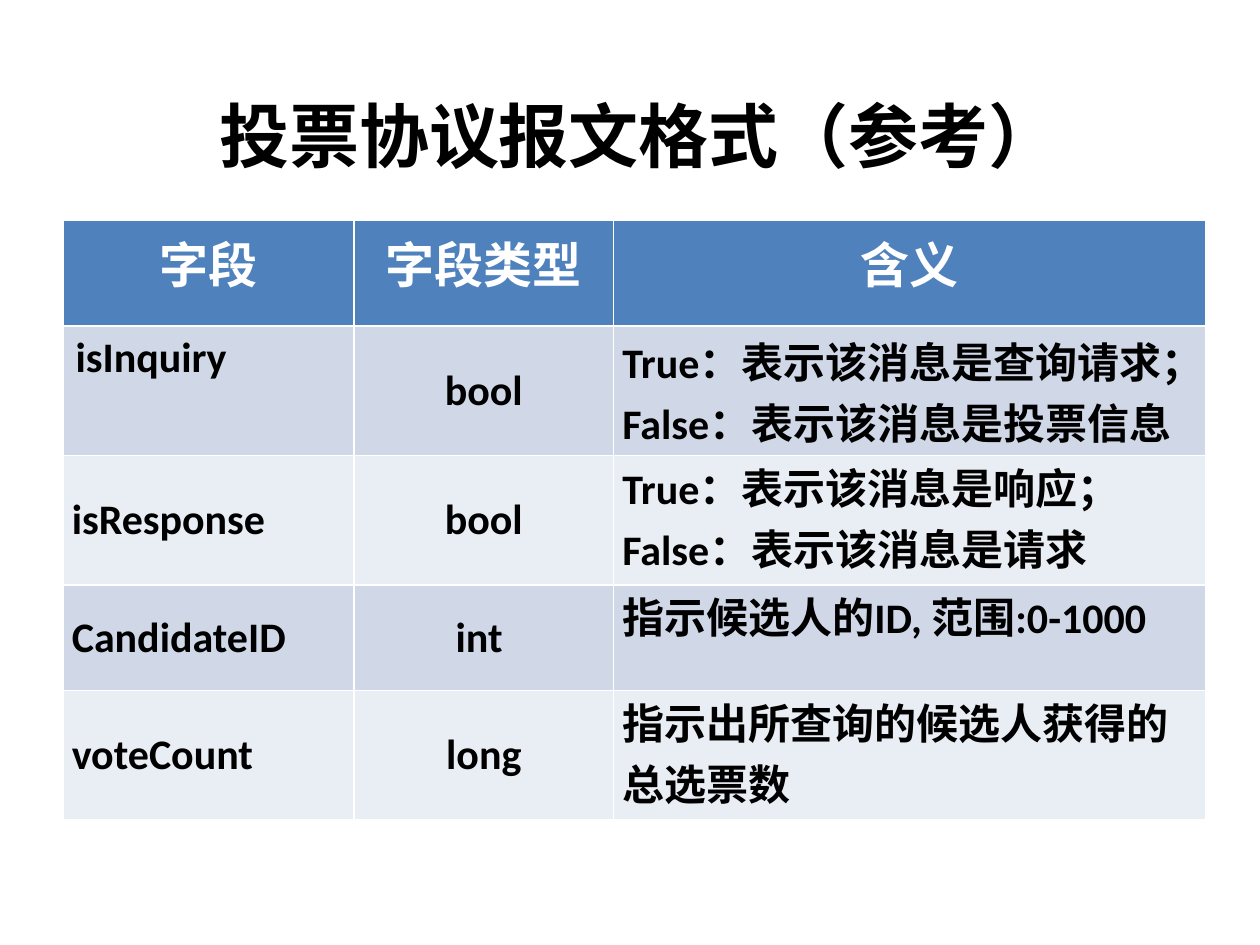
import pptx
import pptx.dml.color
import pptx.enum.text
import pptx.oxml
import pptx.oxml.ns
import pptx.util

Inches = pptx.util.Inches
RGBColor = pptx.dml.color.RGBColor
ALIGN = pptx.enum.text.PP_ALIGN
ANCHOR = pptx.enum.text.MSO_ANCHOR

BLACK = RGBColor(0x00, 0x00, 0x00)
WHITE = RGBColor(0xFF, 0xFF, 0xFF)
HEADER = RGBColor(0x4F, 0x81, 0xBD)
BANDS = (RGBColor(0xE9, 0xED, 0xF4), RGBColor(0xD0, 0xD8, 0xE8))

HAN_FONT = "Noto Sans CJK SC"
COL_WIDTHS = (2.31, 2.06, 4.7)
ROW_HEIGHTS = (0.84, 1.03, 1.03, 0.84, 1.03)
FIELDS = (
    ("字段", "字段类型", "含义"),
    ("isInquiry", "bool", "True：表示该消息是查询请求；False：表示该消息是投票信息"),
    ("isResponse", "bool", "True：表示该消息是响应；False：表示该消息是请求"),
    ("CandidateID", "int ", "指示候选人的ID, 范围:0-1000"),
    ("voteCount", "long", "指示出所查询的候选人获得的总选票数"),
)


def style_paragraph(p, name, size, color, align):
    """Format a bold paragraph with a Latin and a Han typeface."""
    p.alignment = align
    p.font.name = name
    p.font.size = pptx.util.Pt(size)
    p.font.bold = True
    p.font.color.rgb = color
    qn = pptx.oxml.ns.qn
    latin = p._p.pPr.find(qn("a:defRPr")).find(qn("a:latin"))
    ea = pptx.oxml.parse_xml(
        f'<a:ea {pptx.oxml.ns.nsdecls("a")} typeface="{HAN_FONT}"/>')
    latin.addnext(ea)


def add_title(s, left, top, width, height):
    """Place the slide title in the given box."""
    sp = s.shapes.title
    sp.left, sp.top, sp.width, sp.height = left, top, width, height
    tf = sp.text_frame
    tf.text = "投票协议报文格式（参考）"
    tf.vertical_anchor = ANCHOR.MIDDLE
    style_paragraph(tf.paragraphs[0], HAN_FONT, 40, BLACK, ALIGN.CENTER)


def fill_cell(cell, text, row, col):
    """Write and format one table cell according to its row and column."""
    header = row == 0
    roomy = header or (row, col) == (1, 0)
    top = roomy or (col == 2 and row > 1)
    cell.text = text
    cell.vertical_anchor = ANCHOR.TOP if top else ANCHOR.MIDDLE
    cell.margin_left = cell.margin_right = Inches(0.1 if roomy else 0.07)
    cell.margin_top = cell.margin_bottom = Inches(0.05 if roomy else 0)
    cell.fill.solid()
    cell.fill.fore_color.rgb = HEADER if header else BANDS[row % 2]
    style_paragraph(cell.text_frame.paragraphs[0], "Calibri",
                    28 if header else 24, WHITE if header else BLACK,
                    ALIGN.CENTER if header or col == 1 else ALIGN.LEFT)


def add_field_table(s, left, top, width, height):
    """Place the table of message fields in the given box."""
    table = s.shapes.add_table(len(FIELDS), len(COL_WIDTHS),
                               left, top, width, height).table
    for column, share in zip(table.columns, COL_WIDTHS):
        column.width = int(width * share / sum(COL_WIDTHS))
    for row, share in zip(table.rows, ROW_HEIGHTS):
        row.height = int(height * share / sum(ROW_HEIGHTS))
    for r, texts in enumerate(FIELDS):
        for c, text in enumerate(texts):
            fill_cell(table.cell(r, c), text, r, c)


def main():
    """Build the slide and save it."""
    prs = pptx.Presentation()
    prs.slide_width, prs.slide_height = Inches(10), Inches(7.5)
    s = prs.slides.add_slide(prs.slide_layouts.get_by_name("Title Only"))
    add_title(s, Inches(0.57), Inches(0.44), Inches(9), Inches(1.25))
    add_field_table(s, Inches(0.5), Inches(1.75), Inches(9.07), Inches(4.76))
    prs.save("out.pptx")


if __name__ == "__main__":
    main()
